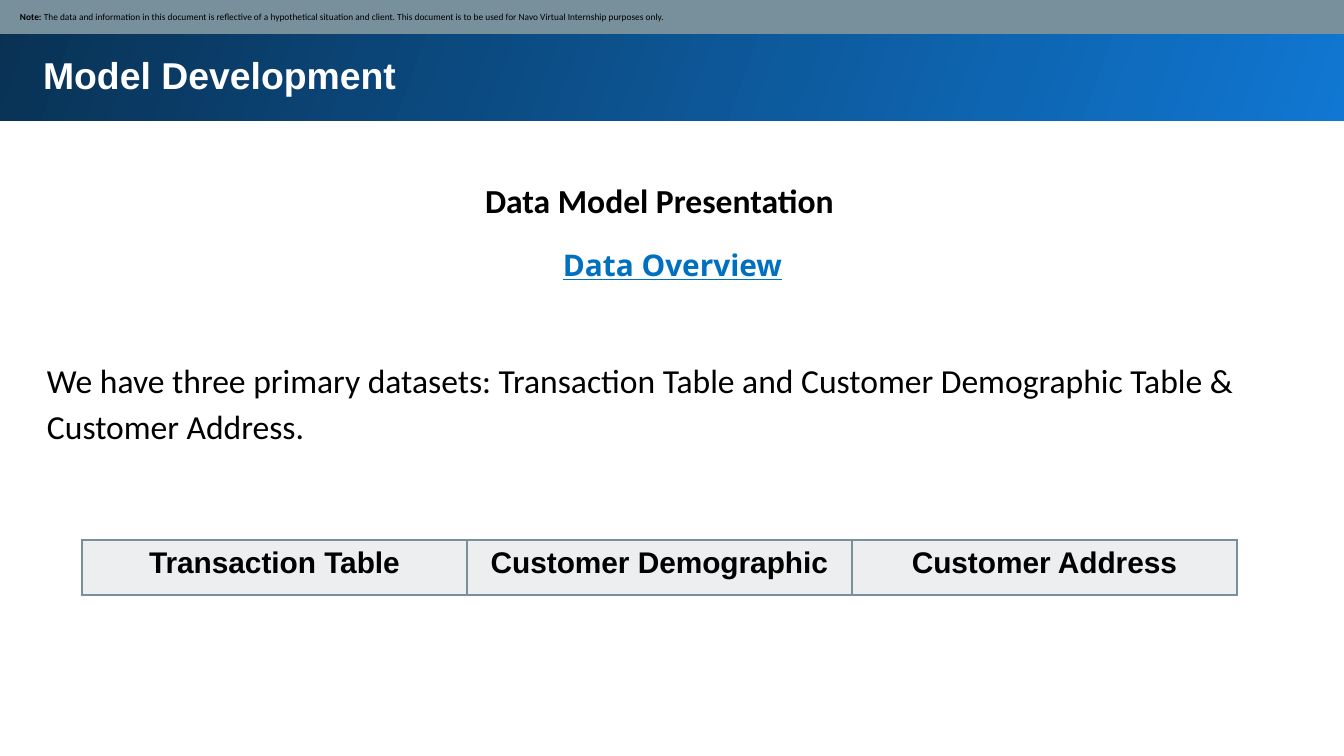
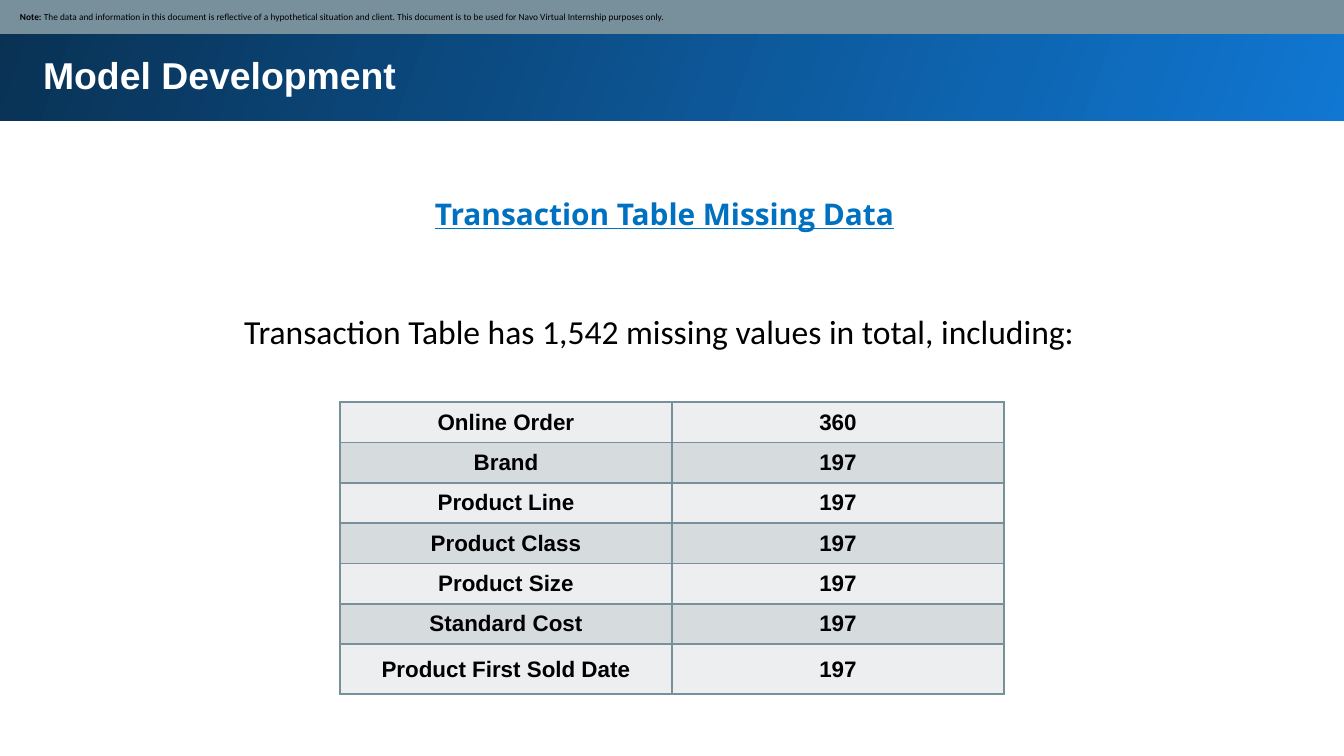
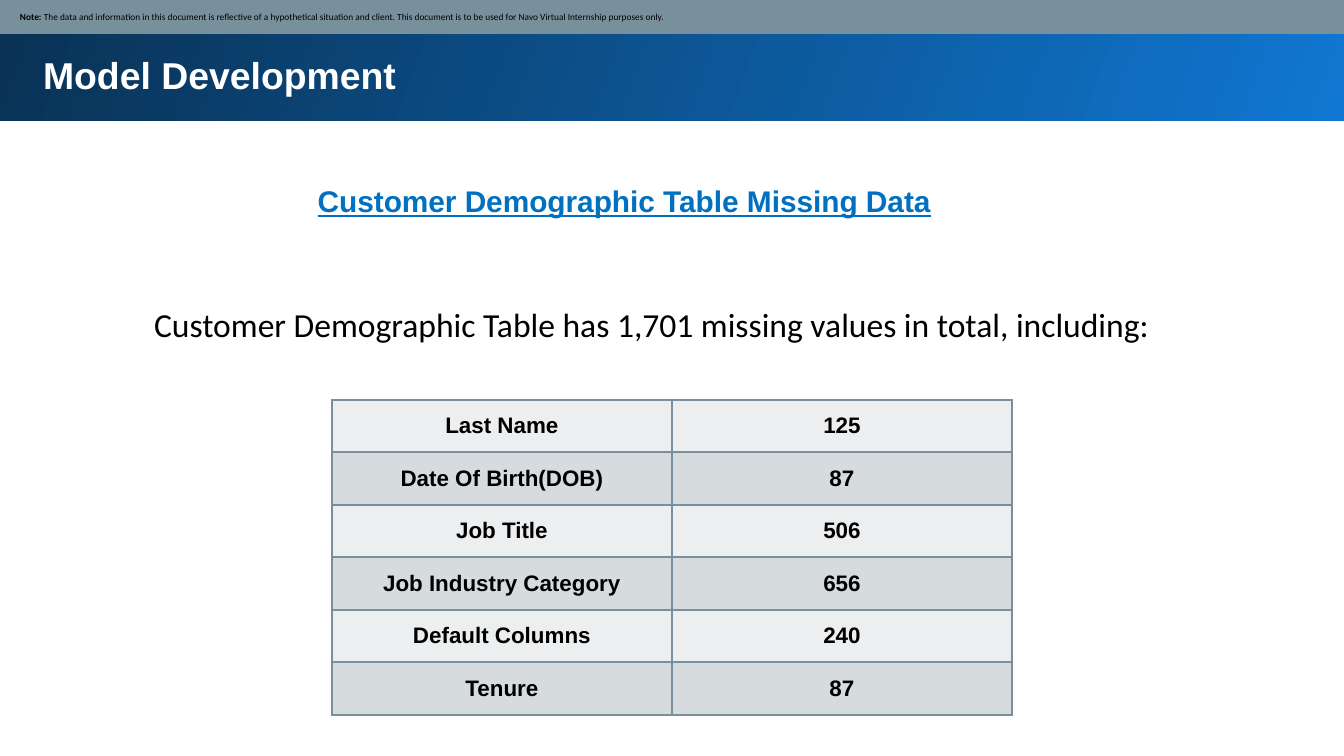
"""Build three slides on the data model and its missing values."""
from pptx import Presentation
from pptx.dml.color import RGBColor
from pptx.enum.shapes import MSO_SHAPE
from pptx.enum.text import MSO_ANCHOR, MSO_AUTO_SIZE, PP_ALIGN
from pptx.oxml import parse_xml
from pptx.oxml.ns import nsdecls
from pptx.util import Emu, Pt

SCALE = 914400 / 134.4
BLACK = RGBColor(0x00, 0x00, 0x00)
WHITE = RGBColor(0xFF, 0xFF, 0xFF)
BLUE = RGBColor(0x00, 0x70, 0xC0)
BRIGHT = RGBColor(0x10, 0x77, 0xD2)
NAVY = RGBColor(0x09, 0x31, 0x53)
SLATE = RGBColor(0x78, 0x90, 0x9C)
PALE = RGBColor(0xEC, 0xEE, 0xEF)
SHADE = RGBColor(0xD6, 0xDB, 0xDE)
LEFT, MID = PP_ALIGN.LEFT, PP_ALIGN.CENTER
TOP, CENTRE = MSO_ANCHOR.TOP, MSO_ANCHOR.MIDDLE

NOTE = (
    "The data and information in this document is reflective of a hypothetical "
    "situation and client. This document is to be used for Navo Virtual "
    "Internship purposes only."
)

# face, size, colour, bold, underline, align, line spacing, top inset
STYLES = {
    "title": ("Arial", 20, WHITE, True, False, LEFT, 1.0, 13),
    "main": ("Calibri", 18, BLACK, True, False, MID, 1.15, 13),
    "head": ("Open Sans", 16, BLUE, True, True, MID, 1.15, 13),
    "topic": ("Arial", 16, BLUE, True, True, MID, 1.0, 7),
    "body": ("Calibri", 18, BLACK, False, False, LEFT, 1.15, 13),
    "lead": ("Calibri", 18, BLACK, False, False, MID, 1.15, 13),
}

SLIDES = [
    {
        "texts": [
            ("main", (30, 161, 1259, 71), "Data Model Presentation"),
            ("head", (38, 228, 1269, 66), "Data Overview"),
            ("body", (34, 341, 1251, 118),
             "We have three primary datasets: Transaction Table and Customer "
             "Demographic Table & Customer Address."),
        ],
        "spot": (82, 540), "col": 385, "rows": [55], "size": 16, "anchor": TOP,
        "cells": [("Transaction Table", "Customer Demographic", "Customer Address")],
    },
    {
        "texts": [
            ("head", (30, 177, 1269, 66), "Transaction Table Missing Data"),
            ("lead", (177, 292, 965, 71),
             "Transaction Table has 1,542 missing values in total, including:"),
        ],
        "spot": (340, 402), "col": 332, "rows": [40] * 6 + [50], "size": 12,
        "anchor": CENTRE,
        "cells": [
            ("Online Order", "360"), ("Brand", "197"), ("Product Line", "197"),
            ("Product Class", "197"), ("Product Size", "197"),
            ("Standard Cost", "197"), ("Product First Sold Date", "197"),
        ],
    },
    {
        "texts": [
            ("body", (141, 285, 1062, 71),
             "Customer Demographic Table has 1,701 missing values in total, including:"),
            ("topic", (255, 176, 739, 50), "Customer Demographic Table Missing Data"),
        ],
        "spot": (332, 400), "col": 340, "rows": [52, 53] * 3, "size": 12,
        "anchor": CENTRE,
        "cells": [
            ("Last Name", "125"), ("Date Of Birth(DOB)", "87"), ("Job Title", "506"),
            ("Job Industry Category", "656"), ("Default Columns", "240"),
            ("Tenure", "87"),
        ],
    },
]


def px(*vals):
    """Turn pixel lengths into EMU."""
    return [Emu(round(val * SCALE)) for val in vals]


def write(shape, text, style):
    """Fill a text shape in one of the shared styles."""
    face, size, colour, bold, under, align, space, inset = STYLES[style]
    frame = shape.text_frame
    frame.text = text
    frame.word_wrap = True
    frame.auto_size = MSO_AUTO_SIZE.SHAPE_TO_FIT_TEXT
    frame.vertical_anchor = TOP
    frame.margin_left, frame.margin_right = px(13, 13)
    frame.margin_top, frame.margin_bottom = px(inset, inset)
    para = frame.paragraphs[0]
    para.alignment, para.line_spacing = align, space
    font = para.font
    font.name, font.size, font.bold, font.underline = face, Pt(size), bold, under
    font.color.rgb = colour


prs = Presentation()
prs.slide_width, prs.slide_height = px(1344, 756)

for data in SLIDES:
    slide = prs.slides.add_slide(prs.slide_layouts[5])
    shapes = slide.shapes

    band = shapes.add_shape(MSO_SHAPE.RECTANGLE, *px(-3, -3, 1351, 124))
    band.shadow.inherit = False
    band.line.fill.background()
    band.fill.gradient()
    band.fill.gradient_angle = 160
    for stop, colour in zip(band.fill.gradient_stops, (BRIGHT, NAVY)):
        stop.color.rgb = colour
    shapes.title.element.addprevious(band.element)

    title = shapes.title
    title.left, title.top, title.width, title.height = px(30, 39, 1259, 69)
    write(title, "Model Development", "title")

    bar = shapes.add_shape(MSO_SHAPE.RECTANGLE, *px(-1, -1, 1348, 35))
    bar.shadow.inherit = False
    bar.line.fill.background()
    bar.fill.solid()
    bar.fill.fore_color.rgb = SLATE
    frame = bar.text_frame
    frame.vertical_anchor = CENTRE
    frame.margin_left, frame.margin_right = px(21, 7)
    frame.margin_top, frame.margin_bottom = px(7, 7)
    para = frame.paragraphs[0]
    para.alignment = LEFT
    para.font.name, para.font.size = "Calibri", Pt(5)
    para.font.color.rgb = BLACK
    for text, bold in (("Note: ", True), (NOTE, False)):
        run = para.add_run()
        run.text, run.font.bold = text, bold

    for style, box, text in data["texts"]:
        write(shapes.add_textbox(*px(*box)), text, style)

    cells, rows, col = data["cells"], data["rows"], data["col"]
    count = len(cells[0])
    table = shapes.add_table(
        len(rows), count, *px(*data["spot"], col * count, sum(rows))
    ).table
    table.first_row = table.horz_banding = False
    for column in table.columns:
        column.width = px(col)[0]
    for i, (high, line) in enumerate(zip(rows, cells)):
        table.rows[i].height = px(high)[0]
        for j, text in enumerate(line):
            cell = table.cell(i, j)
            cell.text = text
            cell.vertical_anchor = data["anchor"]
            para = cell.text_frame.paragraphs[0]
            para.alignment = MID
            font = para.font
            font.name, font.size, font.bold = "Arial", Pt(data["size"]), True
            font.color.rgb = BLACK
            props = cell._tc.get_or_add_tcPr()
            for side in "LRTB":
                props.append(parse_xml(
                    f'<a:ln{side} {nsdecls("a")} w="{Pt(1)}"><a:solidFill>'
                    f'<a:srgbClr val="{SLATE}"/></a:solidFill></a:ln{side}>'
                ))
            cell.fill.solid()
            cell.fill.fore_color.rgb = SHADE if i % 2 else PALE

prs.save("out.pptx")
